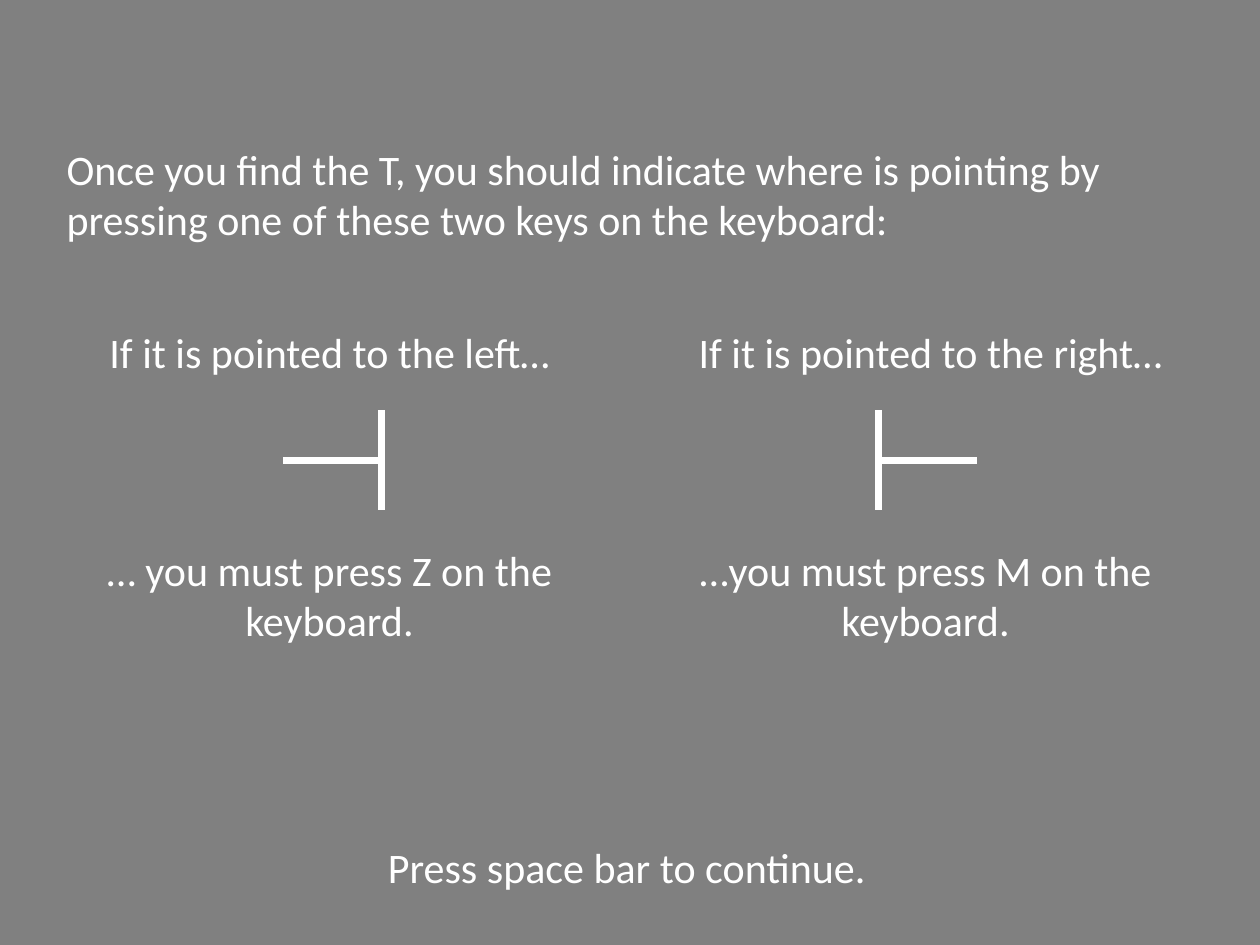
from dataclasses import dataclass

from lxml.etree import SubElement
from pptx import Presentation
from pptx.dml.color import RGBColor
from pptx.enum.shapes import MSO_CONNECTOR as Connector
from pptx.enum.text import MSO_AUTO_SIZE as AutoSize, PP_ALIGN as Align
from pptx.oxml.ns import qn
from pptx.util import Inches, Pt


@dataclass(frozen=True)
class Theme:
    background: RGBColor = RGBColor(0x80, 0x80, 0x80)
    ink: RGBColor = RGBColor(0xFF, 0xFF, 0xFF)
    font: str = "Calibri"
    text_size: Pt = Pt(24)
    line_width: Pt = Pt(4)


@dataclass(frozen=True)
class Box:
    left: float
    top: float
    width: float
    height: float

    def share(self, left, top, width, height):
        return Box(self.left + left * self.width, self.top + top * self.height,
                   width * self.width, height * self.height)

    def point(self, across, down):
        return (Inches(self.left + across * self.width),
                Inches(self.top + down * self.height))


THEME = Theme()
PAGE = Box(0, 0, 10, 7.5)


def add_text(slide, box, text, align=Align.CENTER):
    shape = slide.shapes.add_textbox(*map(Inches, (box.left, box.top, box.width, box.height)))
    frame = shape.text_frame
    frame.word_wrap = True
    frame.auto_size = AutoSize.SHAPE_TO_FIT_TEXT
    paragraph = frame.paragraphs[0]
    paragraph.alignment = align
    run = paragraph.add_run()
    run.text = text
    run.font.name = THEME.font
    run.font.size = THEME.text_size
    run.font.color.rgb = THEME.ink


def add_line(shapes, start, end):
    line = shapes.add_connector(Connector.STRAIGHT, *start, *end)
    line.line.color.rgb = THEME.ink
    line.line.width = THEME.line_width
    SubElement(line._element.spPr, qn("a:effectLst"))


def add_rotated_t(slide, box, bar_side):
    group = slide.shapes.add_group_shape()
    add_line(group.shapes, box.point(bar_side, 0), box.point(bar_side, 1))
    add_line(group.shapes, box.point(bar_side, 0.5), box.point(1 - bar_side, 0.5))


def add_choice(slide, box, condition, action, t_left, bar_side, action_left=0):
    add_text(slide, box.share(0, 0, 1, 0.19), condition)
    add_rotated_t(slide, box.share(t_left, 0.27, 0.17, 0.3), bar_side)
    add_text(slide, box.share(action_left, 0.655, 1 - action_left, 0.345), action)


def build_instructions(slide, page):
    slide.background.fill.solid()
    slide.background.fill.fore_color.rgb = THEME.background
    add_text(slide, page.share(0.043, 0.145, 0.913, 0.121),
             "Once you find the T, you should indicate where is pointing by "
             "pressing one of these two keys on the keyboard:", Align.LEFT)
    add_choice(slide, page.share(0.508, 0.339, 0.461, 0.352),
               "If it is pointed to the right…",
               "…you must press M on the keyboard.", 0.41, 0, -0.017)
    add_choice(slide, page.share(0.031, 0.339, 0.461, 0.352),
               "If it is pointed to the left…",
               "… you must press Z on the keyboard.", 0.42, 1)
    add_text(slide, page.share(0.031, 0.884, 0.933, 0.067), "Press space bar to continue.")


presentation = Presentation()
presentation.slide_width = Inches(PAGE.width)
presentation.slide_height = Inches(PAGE.height)
build_instructions(presentation.slides.add_slide(presentation.slide_layouts[6]), PAGE)
presentation.save("out.pptx")
